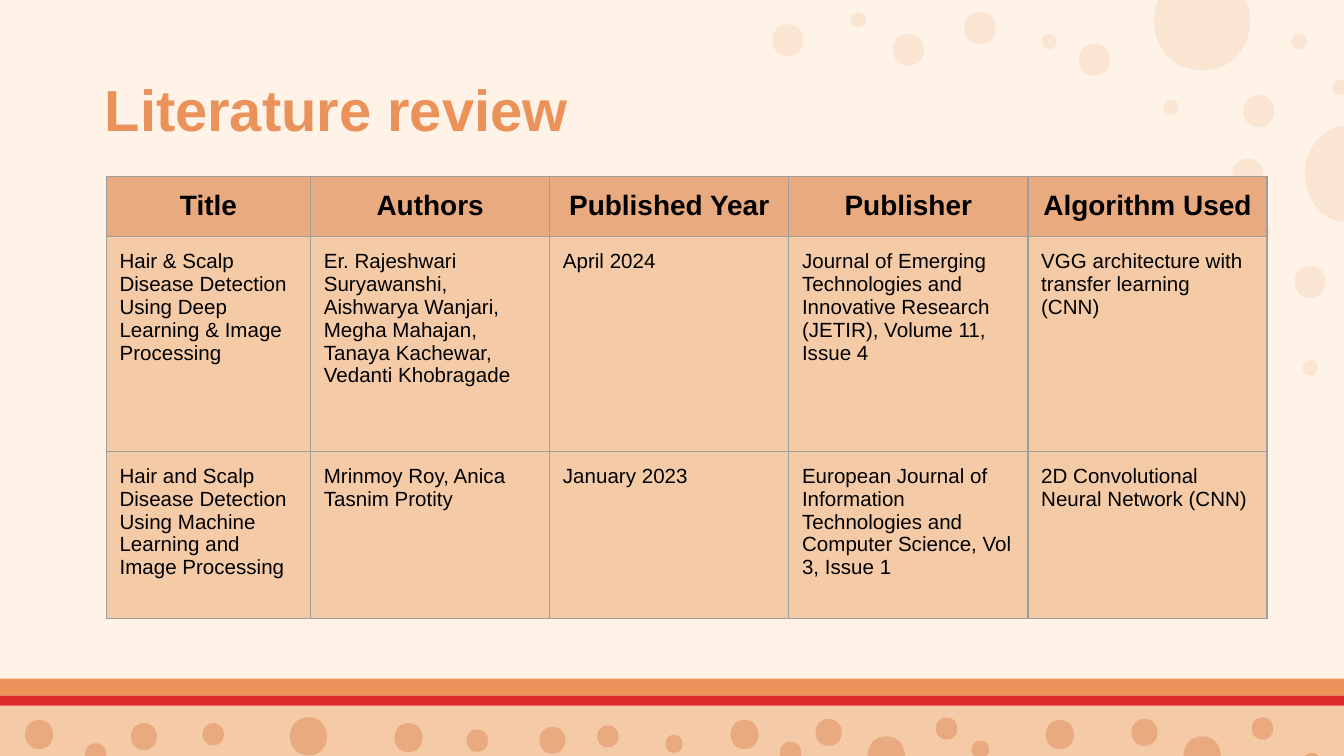
"""Build a literature review slide with a table on a bubbly background."""
import pptx
import pptx.dml.color
import pptx.enum.shapes
import pptx.enum.text
import pptx.oxml.ns
import pptx.oxml.xmlchemy
import pptx.util

Cm = pptx.util.Cm
Pt = pptx.util.Pt
qn = pptx.oxml.ns.qn
new_element = pptx.oxml.xmlchemy.OxmlElement
Align = pptx.enum.text.PP_ALIGN
Anchor = pptx.enum.text.MSO_ANCHOR

WIDTH, HEIGHT = 25.4, 14.29
INSET = 0.25
FONT = "Arial"
COLOURS = {
    "cream": "FFF3E7",
    "peach": "F5CBA7",
    "orange": "EB925A",
    "red": "DE2728",
    "bubble": "E9AA80",
    "border": "9E9E9E",
    "black": "000000",
}
BANDS = [("peach", 13.34, 2.67), ("orange", 12.83, 0.32), ("red", 13.15, 0.19)]
FOOTER_BUBBLES = {
    0.34: [(12.74, 13.89), (18.53, 14), (24.79, 14.23)],
    0.42: [(1.81, 14.05), (4.03, 13.67), (9.02, 13.79), (11.49, 13.71),
           (14.94, 14.02), (17.89, 13.56), (23.86, 13.56)],
    0.51: [(2.72, 13.67), (10.44, 13.74), (15.66, 13.59), (21.63, 13.59)],
    0.55: [(0.74, 13.61), (7.72, 13.67), (14.07, 13.61), (20.03, 13.61)],
    0.72: [(5.83, 13.56), (16.75, 13.92), (22.72, 13.92)],
}
CORNER_BUBBLES = {
    0.29: [(16.22, 0.23), (19.83, 0.64), (22.13, 1.88), (24.55, 0.64),
           (25.33, 1.5), (23.86, 4.22), (23.58, 5.64), (24.76, 6.81)],
    0.6: [(14.89, 0.46), (17.17, 0.64), (18.52, 0.23), (20.68, 0.83),
          (23.79, 1.8), (23.58, 3), (24.76, 5.03)],
    1.86: [(22.72, -0.53), (25.57, 2.36)],
}
COLUMN_WIDTHS = [3.86] + [4.52] * 4
ROW_HEIGHTS = [1.1, 4.06, 3.15]
ROWS = [
    ["Title", "Authors", "Published Year", "Publisher", "Algorithm Used"],
    ["Hair & Scalp Disease Detection Using Deep Learning & Image Processing",
     "Er. Rajeshwari Suryawanshi, Aishwarya Wanjari, Megha Mahajan, "
     "Tanaya Kachewar, Vedanti Khobragade",
     "April 2024",
     "Journal of Emerging Technologies and Innovative Research (JETIR), "
     "Volume 11, Issue 4",
     "VGG architecture with transfer learning (CNN)"],
    ["Hair and Scalp Disease Detection Using Machine Learning and Image Processing",
     "Mrinmoy Roy, Anica Tasnim Protity",
     "January 2023",
     "European Journal of Information Technologies and Computer Science, "
     "Vol 3, Issue 1",
     "2D Convolutional Neural Network (CNN)"],
]


def rgb(name):
    return pptx.dml.color.RGBColor.from_string(COLOURS[name])


def paint(shape, colour):
    shape.shadow.inherit = False
    shape.fill.solid()
    shape.fill.fore_color.rgb = rgb(colour)
    shape.line.fill.background()


def add_band(page, colour, top, height):
    band = page.shapes.add_shape(
        pptx.enum.shapes.MSO_SHAPE.RECTANGLE, 0, Cm(top), Cm(WIDTH), Cm(height))
    paint(band, colour)


def add_bubble(page, centre, top, diameter, alpha=None):
    left, right = centre - 0.65 * diameter, centre + 0.65 * diameter
    bottom = top + diameter
    controls = [(left, top), (left, bottom), (centre, bottom),
                (right, bottom), (right, top), (centre, top)]
    builder = page.shapes.build_freeform(Cm(centre), Cm(top))
    builder.add_line_segments([(Cm(x), Cm(y)) for x, y in controls], close=True)
    bubble = builder.convert_to_shape()
    outline = next(bubble.element.iter(qn("a:path")))
    lines = outline.findall(qn("a:lnTo"))
    for half in (lines[:3], lines[3:]):
        curve = new_element("a:cubicBezTo")
        half[0].addprevious(curve)
        for line in half:
            curve.append(line[0])
            outline.remove(line)
    paint(bubble, "bubble")
    if alpha:
        opacity = new_element("a:alpha")
        opacity.set("val", str(alpha * 1000))
        bubble.element.spPr.find(qn("a:solidFill"))[0].append(opacity)


def add_bubbles(page, groups, alpha=None):
    for diameter, places in groups.items():
        for centre, top in places:
            add_bubble(page, centre, top, diameter, alpha)


def write(frame, text, size, colour="black", bold=False, align=Align.LEFT):
    para = frame.paragraphs[0]
    para.alignment = align
    span = para.add_run()
    span.text = text
    span.font.name = FONT
    span.font.size = Pt(size)
    span.font.bold = bold
    span.font.color.rgb = rgb(colour)


def set_margins(holder):
    holder.margin_left = holder.margin_right = Cm(INSET)
    holder.margin_top = holder.margin_bottom = Cm(INSET)


def add_title(page, text):
    box = page.shapes.add_textbox(Cm(1.73), Cm(1.24), Cm(21.95), Cm(1.6))
    frame = box.text_frame
    frame.word_wrap = True
    frame.vertical_anchor = Anchor.MIDDLE
    set_margins(frame)
    write(frame, text, 31, colour="orange", bold=True)


def add_borders(cell):
    properties = cell._tc.get_or_add_tcPr()
    for side in "LRTB":
        border = new_element(f"a:ln{side}")
        border.set("w", str(Pt(0.75)))
        fill = new_element("a:solidFill")
        colour = new_element("a:srgbClr")
        colour.set("val", COLOURS["border"])
        fill.append(colour)
        border.append(fill)
        properties.append(border)


def fill_cell(cell, text, header):
    add_borders(cell)
    cell.fill.solid()
    cell.fill.fore_color.rgb = rgb("bubble" if header else "peach")
    set_margins(cell)
    write(cell.text_frame, text, 15 if header else 11, bold=header,
          align=Align.CENTER if header else Align.LEFT)


def add_review_table(page):
    table = page.shapes.add_table(
        len(ROWS), len(COLUMN_WIDTHS), Cm(2.01), Cm(3.34),
        Cm(sum(COLUMN_WIDTHS)), Cm(sum(ROW_HEIGHTS))).table
    for column, width in zip(table.columns, COLUMN_WIDTHS):
        column.width = Cm(width)
    for index, (height, texts) in enumerate(zip(ROW_HEIGHTS, ROWS)):
        table.rows[index].height = Cm(height)
        for cell, text in zip(table.rows[index].cells, texts):
            fill_cell(cell, text, header=index == 0)


def main():
    deck = pptx.Presentation()
    deck.slide_width, deck.slide_height = Cm(WIDTH), Cm(HEIGHT)
    page = deck.slides.add_slide(deck.slide_layouts[6])
    page.background.fill.solid()
    page.background.fill.fore_color.rgb = rgb("cream")
    for band in BANDS:
        add_band(page, *band)
    add_bubbles(page, FOOTER_BUBBLES)
    add_bubbles(page, CORNER_BUBBLES, alpha=20)
    add_title(page, "Literature review")
    add_review_table(page)
    deck.save("out.pptx")


if __name__ == "__main__":
    main()
